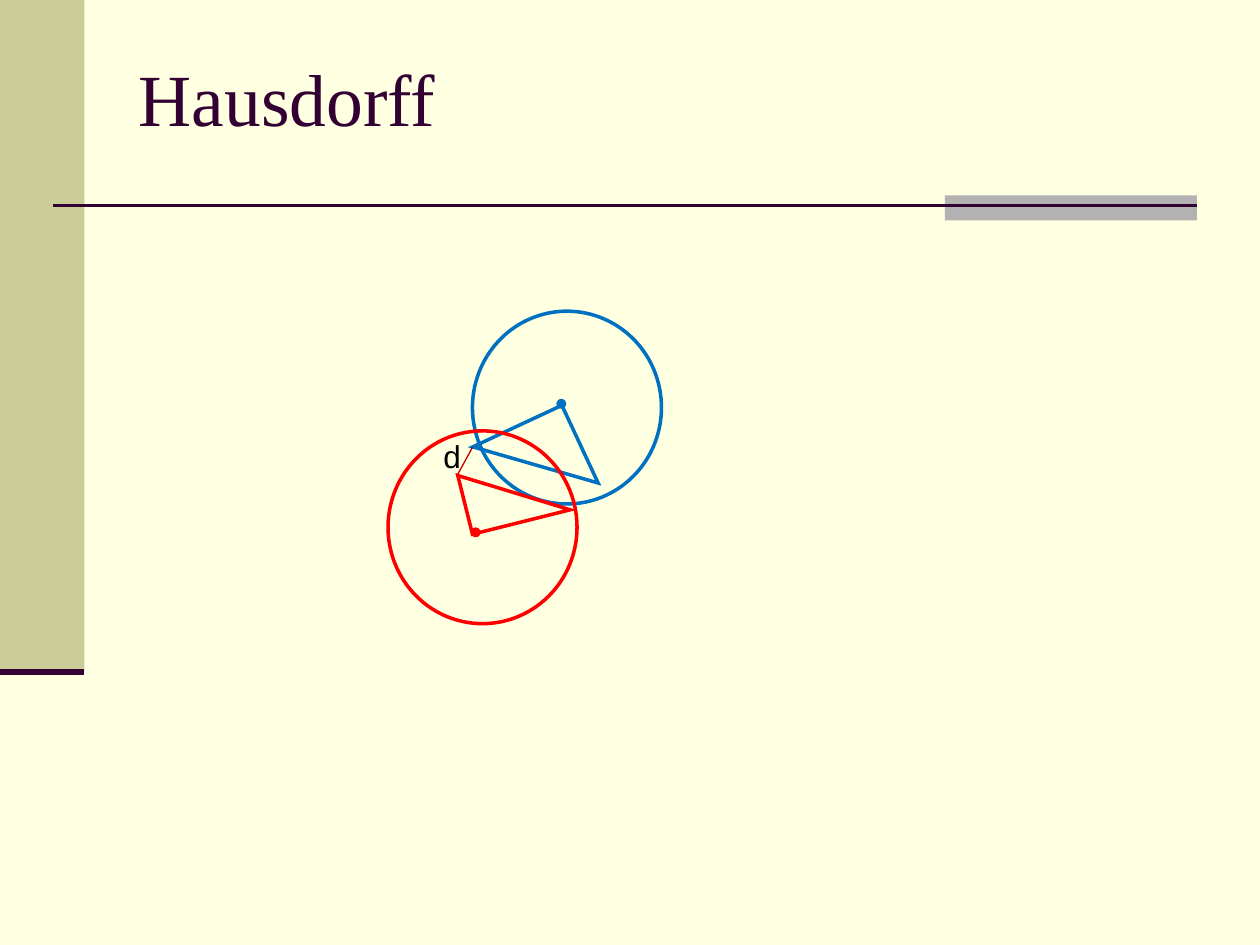
"""Build the Hausdorff distance slide with two overlapping circles and triangles."""
from dataclasses import dataclass
from typing import Optional

from pptx import Presentation
from pptx import util as u
from pptx.dml.color import RGBColor
from pptx.enum import shapes, text
from pptx.oxml.ns import qn
from lxml import etree

COLORS = {
    "background": "FFFFE1", "sand": "CCCC99", "gray": "B2B2B2", "plum": "330033",
    "blue": "0070C0", "red": "FF0000", "dark_red": "C00000", "black": "000000",
}
RECT = shapes.MSO_SHAPE.RECTANGLE
CIRCLE = shapes.MSO_SHAPE.FLOWCHART_CONNECTOR
TRIANGLE = shapes.MSO_SHAPE.RIGHT_TRIANGLE


@dataclass
class Figure:
    kind: int
    box: tuple[float, float, float, float]
    fill: Optional[str] = None
    line: Optional[str] = None
    rotation: float = 0
    flip: bool = False


@dataclass
class Stroke:
    start: tuple[float, float]
    end: tuple[float, float]
    color: str
    width: float


def rgb(name: str) -> RGBColor:
    return RGBColor.from_string(COLORS[name])


def draw_figure(s, figure: Figure) -> None:
    sp = s.shapes.add_shape(figure.kind, *map(u.Inches, figure.box))
    sp.shadow.inherit = False
    sp.rotation = figure.rotation
    if figure.flip:
        sp._element.spPr.find(qn("a:xfrm")).set("flipV", "1")
    if figure.fill:
        sp.fill.solid()
        sp.fill.fore_color.rgb = rgb(figure.fill)
    else:
        sp.fill.background()
    if figure.line:
        sp.line.color.rgb = rgb(figure.line)
        sp.line.width = u.Pt(2)
        if figure.kind == TRIANGLE:
            ln = sp._element.spPr.find(qn("a:ln"))
            etree.SubElement(ln, qn("a:miter")).set("lim", "800000")
    else:
        sp.line.fill.background()


def draw_stroke(s, stroke: Stroke) -> None:
    cx = s.shapes.add_connector(
        shapes.MSO_CONNECTOR.STRAIGHT, *map(u.Inches, stroke.start + stroke.end))
    cx.line.color.rgb = rgb(stroke.color)
    cx.line.width = u.Pt(stroke.width)
    etree.SubElement(cx._element.spPr, qn("a:effectLst"))


def write_text(sp, words: str, font: str, size: float, color: str,
               margin_top: float = 0.05) -> None:
    tf = sp.text_frame
    frame_format = {
        "word_wrap": True, "vertical_anchor": text.MSO_ANCHOR.TOP,
        "margin_left": u.Inches(0.1), "margin_right": u.Inches(0.1),
        "margin_top": u.Inches(margin_top), "margin_bottom": u.Inches(0.05),
    }
    for name, value in frame_format.items():
        setattr(tf, name, value)
    p = tf.paragraphs[0]
    p.alignment = text.PP_ALIGN.LEFT
    r = p.add_run()
    r.text = words
    for name, value in {"name": font, "size": u.Pt(size)}.items():
        setattr(r.font, name, value)
    r.font.color.rgb = rgb(color)


PARTS = [
    Figure(RECT, (0, 0, 0.67, 5.33), fill="sand"),
    Figure(RECT, (7.5, 1.55, 2, 0.2), fill="gray"),
    Stroke((0.42, 1.63), (9.5, 1.63), "plum", 1.5),
    Stroke((0, 5.33), (0.67, 5.33), "plum", 3.5),
    Figure(CIRCLE, (3.75, 2.47, 1.5, 1.53), line="blue"),
    Figure(TRIANGLE, (3.68, 3.67, 0.8, 0.48), line="red", rotation=346),
    Figure(TRIANGLE, (3.91, 3.3, 0.68, 0.78), line="blue", rotation=65, flip=True),
    Figure(CIRCLE, (3.08, 3.42, 1.5, 1.53), line="red"),
    Figure(CIRCLE, (3.75, 4.2, 0.05, 0.05), fill="red", line="red"),
    Figure(CIRCLE, (4.43, 3.18, 0.05, 0.05), fill="blue", line="blue"),
    Stroke((3.63, 3.77), (3.75, 3.55), "dark_red", 0.75),
]


def main() -> None:
    prs = Presentation()
    prs.slide_width, prs.slide_height = u.Inches(10), u.Inches(7.5)
    s = prs.slides.add_slide(prs.slide_layouts[5])
    s.background.fill.solid()
    s.background.fill.fore_color.rgb = rgb("background")

    title = s.shapes.title
    for name, value in zip(("left", "top", "width", "height"), (1, 0.3, 8.5, 1.25)):
        setattr(title, name, u.Inches(value))
    write_text(title, "Hausdorff", "Times New Roman", 42, "plum", margin_top=0.12)

    for part in PARTS:
        if isinstance(part, Figure):
            draw_figure(s, part)
        else:
            draw_stroke(s, part)

    label = s.shapes.add_textbox(*map(u.Inches, (3.42, 3.42, 0.32, 0.4)))
    write_text(label, "d", "Arial", 18, "black")
    prs.save("out.pptx")


if __name__ == "__main__":
    main()
